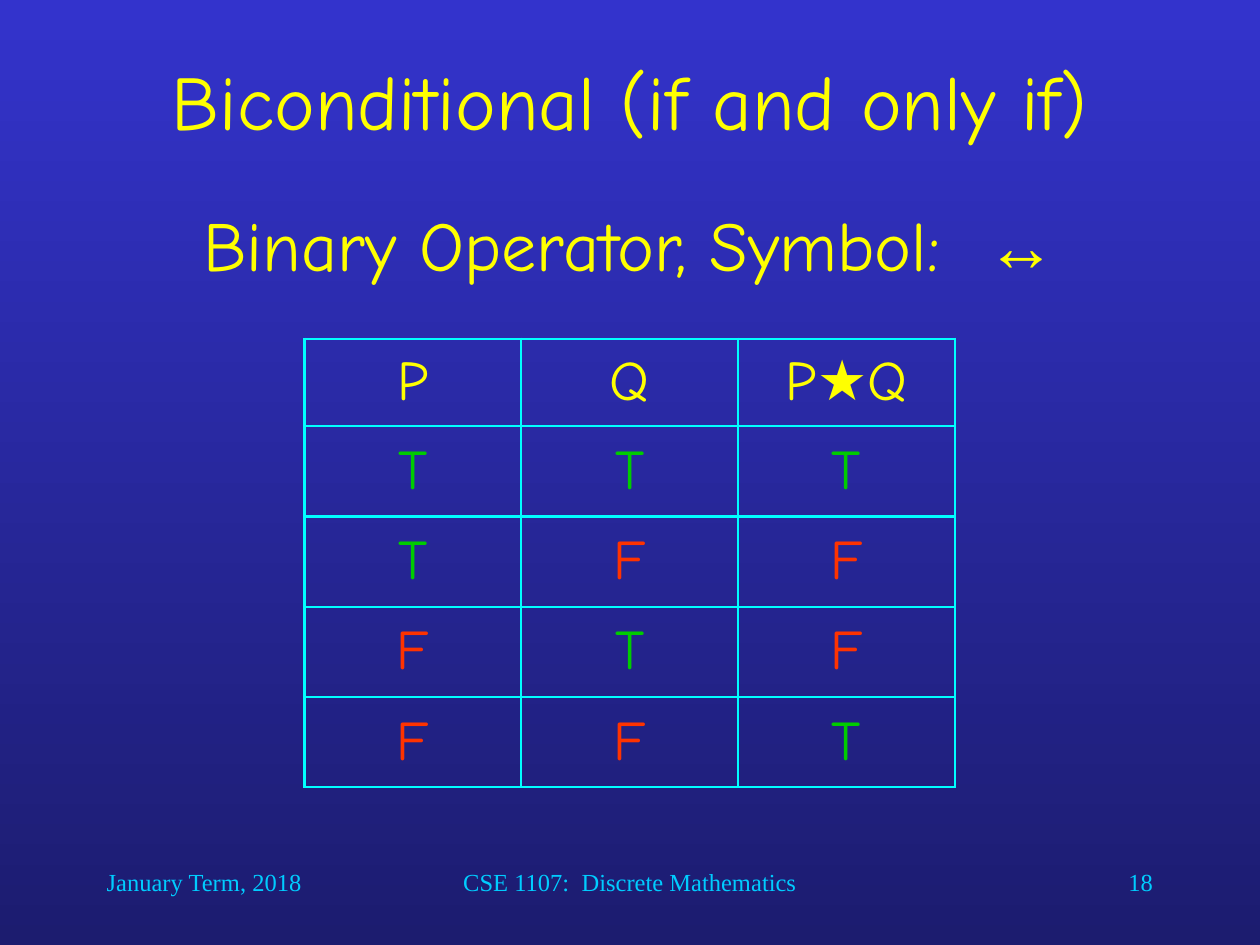
"""Build the biconditional truth table slide."""
from lxml import etree
from pptx import Presentation
from pptx import util as u
from pptx.dml.color import RGBColor
from pptx.enum import text
from pptx.oxml.ns import qn

YELLOW = RGBColor(0xFF, 0xFF, 0x00)
GREEN = RGBColor(0x00, 0xCC, 0x00)
RED = RGBColor(0xFF, 0x33, 0x00)
SKY = RGBColor(0x00, 0xCC, 0xFF)
CYAN = RGBColor(0x00, 0xFF, 0xFF)
BG_TOP = RGBColor(0x33, 0x33, 0xCC)
BG_BOTTOM = RGBColor(0x1C, 0x1C, 0x6F)
ALIGN = text.PP_ALIGN
MIDDLE = text.MSO_ANCHOR.MIDDLE


def add_run(p, words, color, **fmt):
    r = p.add_run()
    r.text = words
    r.font.color.rgb = color
    for key, value in fmt.items():
        setattr(r.font, key, value)


def place(sp, left, top, width, height):
    box = {"left": left, "top": top, "width": width, "height": height}
    for key, value in box.items():
        setattr(sp, key, u.Cm(value))


prs = Presentation()
prs.slide_width, prs.slide_height = u.Cm(25.4), u.Cm(19.05)
s = prs.slides.add_slide(prs.slide_layouts[5])

bg = s.background.fill
bg.gradient()
bg.gradient_angle = 270
for stop, color in zip(bg.gradient_stops, (BG_TOP, BG_BOTTOM)):
    stop.color.rgb = color

footers = [
    ("January Term, 2018", 1.9, 5.29, ALIGN.LEFT),
    ("CSE 1107:  Discrete Mathematics", 7.2, 11, ALIGN.CENTER),
    ("18", 18.2, 5.29, ALIGN.RIGHT),
]
for words, left, width, align in footers:
    sp = s.shapes.add_textbox(u.Cm(left), u.Cm(17.35), u.Cm(width), u.Cm(1.27))
    tf = sp.text_frame
    tf.word_wrap = True
    p = tf.paragraphs[0]
    p.alignment = align
    add_run(p, words, SKY, size=u.Pt(14), name="Times New Roman")

title = s.shapes.title
place(title, 1.9, 1.06, 21.6, 1.9)
tf = title.text_frame
tf.auto_size = text.MSO_AUTO_SIZE.NONE
tf.vertical_anchor = MIDDLE
p = tf.paragraphs[0]
p.alignment = ALIGN.CENTER
add_run(p, "Biconditional (if and only if)", YELLOW, size=u.Pt(44), name="Comic Neue")

subtitle = s.shapes.add_textbox(u.Cm(1.48), u.Cm(3.81), u.Cm(22.44), u.Cm(2.33))
tf = subtitle.text_frame
tf.word_wrap = True
tf.margin_top = u.Cm(0.25)
p = tf.paragraphs[0]
p.alignment = ALIGN.CENTER
add_run(p, "Binary Operator, Symbol:  ", YELLOW, size=u.Pt(40), name="Comic Neue")
add_run(p, "↔", YELLOW, size=u.Pt(40), name="Arial", bold=True)

rows = ["P Q P★Q", "T T T", "T F F", "F T F", "F F T"]
colors = {"T": GREEN, "F": RED}
frame = s.shapes.add_table(len(rows), 3, u.Cm(6.14), u.Cm(6.83), u.Cm(13.12), u.Cm(9.05))
table = frame.table
table.first_row = table.horz_banding = False
for col in table.columns:
    col.width = u.Cm(4.37)
for i, row in enumerate(rows):
    table.rows[i].height = u.Cm(1.82 if i else 1.76)
    for j, words in enumerate(row.split()):
        cell = table.cell(i, j)
        cell.vertical_anchor = MIDDLE
        p = cell.text_frame.paragraphs[0]
        p.alignment = ALIGN.CENTER
        for letter in words:
            add_run(p, letter, colors.get(letter, YELLOW), size=u.Pt(32),
                    name="Comic Neue", bold=letter == "★")
        tc_pr = cell._tc.get_or_add_tcPr()
        for side in ("lnL", "lnR", "lnT", "lnB"):
            ln = etree.SubElement(tc_pr, qn("a:" + side), w=str(u.Pt(1.47)))
            fill = etree.SubElement(ln, qn("a:solidFill"))
            etree.SubElement(fill, qn("a:srgbClr"), val=str(CYAN))
        cell.fill.background()

prs.save("out.pptx")
